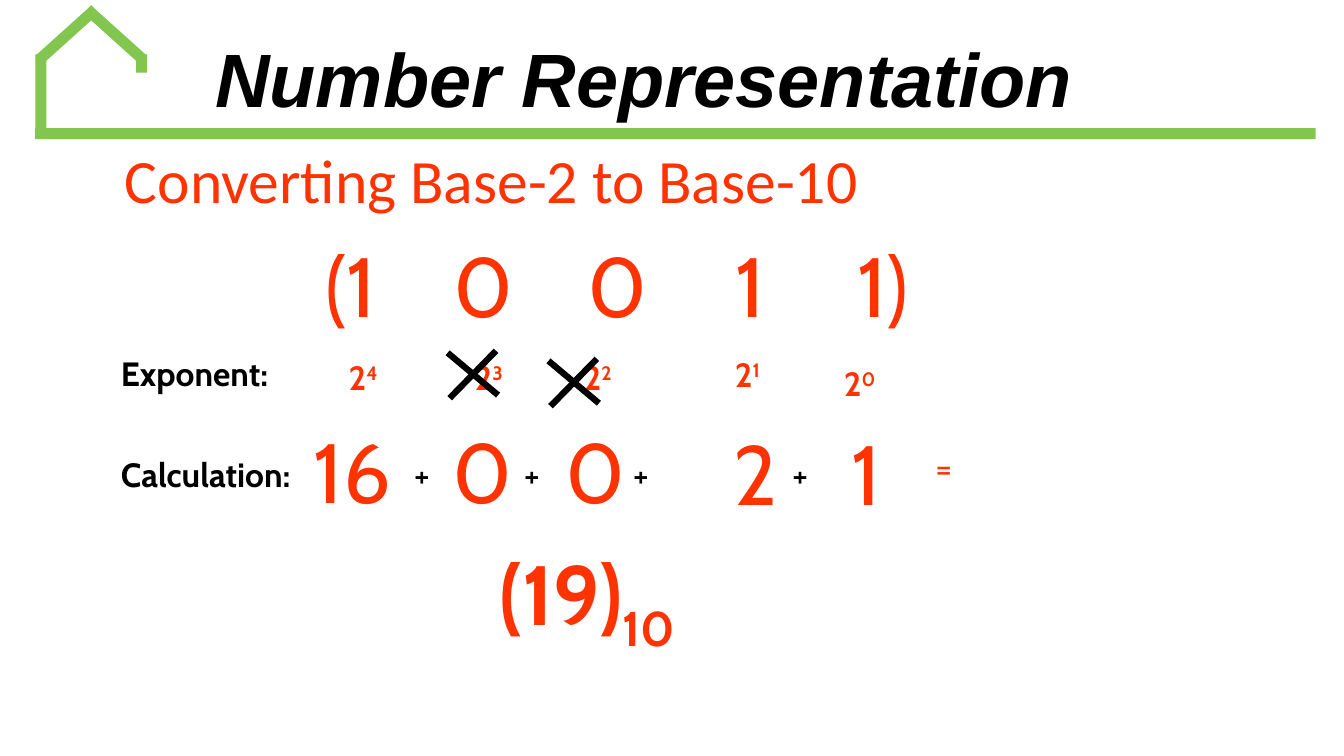
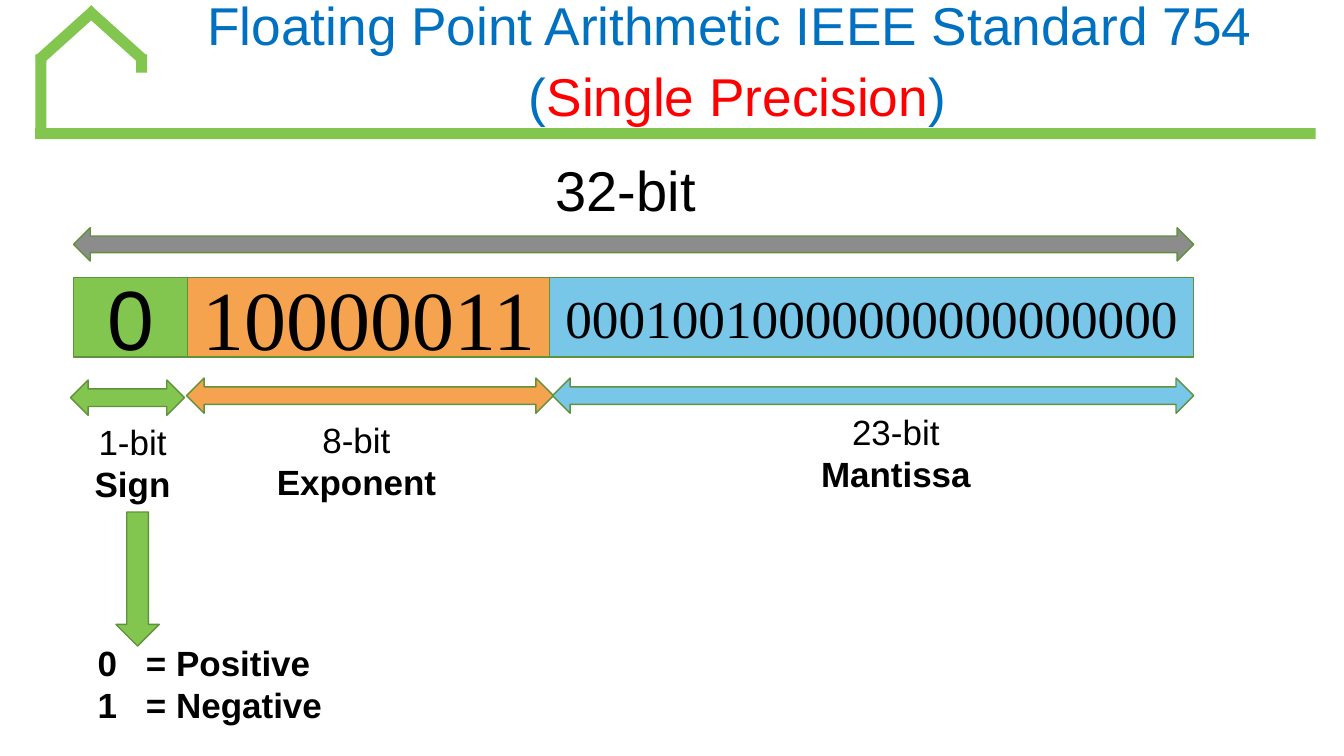
from lxml import etree
from pptx import Presentation
from pptx import util as u
from pptx.dml.color import RGBColor
from pptx.enum import shapes, text
from pptx.oxml.ns import qn

GREEN, ORANGE, BLUE, GRAY = "82C650", "F6A350", "78C6E8", "8C8C8C"
OUTLINE, BLACK, SCARLET = "60923B", "000000", "FF3300"
TITLE_BLUE, TITLE_RED = "0070C0", "FF0000"
SHAPE = shapes.MSO_SHAPE
CENTER = text.PP_ALIGN.CENTER
MIDDLE, TOP = text.MSO_ANCHOR.MIDDLE, text.MSO_ANCHOR.TOP


def rgb(value):
    return RGBColor.from_string(value)


def style(size, name="Arial", color=BLACK, **extra):
    return dict(size=size, name=name, color=color, **extra)


class Deck:
    title_box = (12.31, 0.79)
    roof_parts = [
        (0.35, 1.27, 12.7, 0.11, 0),
        (0.35, 0.54, 0.11, 0.8, 0),
        (1.35, 0.54, 0.11, 0.18, 0),
        (0.61, -0.03, 0.11, 0.75, 48),
        (1.09, -0.03, 0.11, 0.75, 312),
    ]

    def __init__(self):
        self.prs = Presentation()
        self.prs.slide_width = u.Inches(13.33)
        self.prs.slide_height = u.Inches(7.5)

    def new_slide(self):
        self.slide = self.prs.slides.add_slide(self.prs.slide_layouts[6])
        for *box, angle in self.roof_parts:
            self.shape(SHAPE.RECTANGLE, box, GREEN, line=None).rotation = angle

    def title(self, left, top, lines, look):
        self.label((left, top, *self.title_box), lines, look, align=CENTER,
                   anchor=MIDDLE, spacing=0.9, before=10)

    def shape(self, kind, box, fill, line=OUTLINE):
        part = self.slide.shapes.add_shape(kind, *map(u.Inches, box))
        part.shadow.inherit = False
        part.fill.solid()
        part.fill.fore_color.rgb = rgb(fill)
        if line:
            part.line.color.rgb = rgb(line)
            part.line.width = u.Pt(1)
        else:
            part.line.fill.background()
        return part

    def field(self, box, fill, bits, look):
        part = self.shape(SHAPE.RECTANGLE, box, fill)
        self.fill_text(part.text_frame, [bits], look, align=CENTER, anchor=MIDDLE)

    def label(self, box, lines, look, wrap=True, **layout):
        holder = self.slide.shapes.add_textbox(*map(u.Inches, box))
        self.fill_text(holder.text_frame, lines, look, wrap, **layout)

    def fill_text(self, frame, lines, look, wrap=True, align=None, anchor=TOP,
                  spacing=None, before=0, tab=None):
        frame.word_wrap = wrap
        frame.vertical_anchor = anchor
        for number, line in enumerate(lines):
            paragraph = frame.paragraphs[0] if number == 0 else frame.add_paragraph()
            paragraph.alignment = align
            if spacing:
                paragraph.line_spacing = spacing
            if number and before:
                paragraph.space_before = u.Pt(before)
            if tab:
                stops = etree.SubElement(paragraph._p.get_or_add_pPr(), qn("a:tabLst"))
                etree.SubElement(stops, qn("a:tab"), pos=str(u.Inches(tab)), algn="l")
            for words, changes in [(line, {})] if isinstance(line, str) else line:
                self.add_run(paragraph, words, {**look, **changes})

    def add_run(self, paragraph, words, values):
        run = paragraph.add_run()
        run.text = words
        for key, value in values.items():
            if key == "color":
                run.font.color.rgb = rgb(value)
            elif key == "baseline":
                run._r.get_or_add_rPr().set("baseline", str(value * 1000))
            else:
                setattr(run.font, key, u.Pt(value) if key == "size" else value)

    def stroke(self, start, end):
        line = self.slide.shapes.add_connector(
            shapes.MSO_CONNECTOR.STRAIGHT, *map(u.Inches, (*start, *end)))
        line.line.color.rgb = rgb(BLACK)
        line.line.width = u.Pt(4.5)
        etree.SubElement(line._element.spPr, qn("a:effectLst"))

    def cross(self, left, top):
        self.stroke((left, top + 0.02), (left + 0.5, top + 0.44))
        self.stroke((left + 0.48, top), (left + 0.02, top + 0.47))


def base_conversion(deck):
    deck.new_slide()
    deck.title(0.23, 0.43, ["Number Representation"],
               style(54, bold=True, italic=True))
    deck.label((1.14, 1.49, 9, 0.57), ["Converting Base-2 to Base-10"],
               style(44, "Calibri", SCARLET), anchor=MIDDLE)

    digit_look = style(60, "Cabin", SCARLET)
    power_look = style(24, "Cabin", SCARLET, bold=True)
    heading_look = style(24, "Cabin", bold=True)
    columns = [
        ("(1", "4", 3.36, 3.49, "16", 3.01, 4.11),
        ("0", "3", 4.61, 3.49, "0", 4.39, 4.11),
        ("0", "2", 5.69, 3.49, "0", 5.51, 4.11),
        ("1", "1", 7.19, 3.46, "2", 7.18, 4.13),
        ("1)", "0", 8.27, 3.55, "1", 8.35, 4.13),
    ]
    for place, (digit, power, power_left, power_top,
                product, product_left, product_top) in enumerate(columns):
        deck.label((2.87 + place * 1.32, 2.27, 1.22, 1.1), [digit],
                   digit_look, align=CENTER)
        deck.label((power_left, power_top, 0.58, 0.5),
                   [[("2", {}), (power, {"baseline": 30})]], power_look)
        deck.label((product_left, product_top, 0.21 + 0.45 * len(product), 1.1),
                   [product], digit_look, wrap=False)

    for left, top in [(4.44, 3.48), (5.44, 3.56)]:
        deck.cross(left, top)
    for heading, top in [("Exponent:", 3.45), ("Calculation:", 4.45)]:
        deck.label((1.1, top, 2.25, 0.5), [heading], heading_look)
    for left in (4.01, 5.1, 6.18, 7.76):
        deck.label((left, 4.45, 0.42, 0.5), ["+"], style(24, "Cabin"))
    deck.label((9.18, 4.38, 0.42, 0.5), ["="], style(24, "Cabin", SCARLET))
    deck.label((4.86, 5.32, 2.83, 1.1),
               [[("(19)", {}), ("10", {"baseline": -25})]],
               {**digit_look, "bold": True})


def single_precision(deck):
    deck.new_slide()
    deck.title(1.16, 0.24, [
        "Floating Point Arithmetic IEEE Standard 754 ",
        [("(", {}), ("Single Precision", {"color": TITLE_RED}), (")", {})],
    ], style(38, color=TITLE_BLUE))

    caption_look = style(25)
    deck.label((5.1, 1.49, 2.21, 0.77), ["32-bit"], style(40), align=CENTER)
    deck.shape(SHAPE.LEFT_RIGHT_ARROW, (0.73, 2.26, 11.11, 0.33), GRAY)

    fields = [
        (GREEN, "0", style(60), 1.13, (0.7, 3.77, 1.13),
         "1-bit", "Sign", (0.75, 4.12, 1.13)),
        (ORANGE, "10000011", style(60, "Times New Roman"), 3.59, (1.85, 3.75, 3.64),
         "8-bit", "Exponent", (2.62, 4.1, 1.83)),
        (BLUE, "00010010000000000000000", style(38, "Times New Roman"), 6.39,
         (5.48, 3.75, 6.36), "23-bit", "Mantissa", (7.97, 4.02, 1.83)),
    ]
    left = 0.73
    for fill, bits, look, width, span, size, meaning, caption in fields:
        deck.field((left, 2.75, width, 0.79), fill, bits, look)
        deck.shape(SHAPE.LEFT_RIGHT_ARROW, (*span, 0.35), fill)
        deck.label((*caption, 0.94), [size, [(meaning, {"bold": True})]],
                   caption_look, align=CENTER)
        left += width

    deck.shape(SHAPE.DOWN_ARROW, (1.15, 5.08, 0.43, 1.33), GREEN)
    deck.label((0.87, 6.32, 2.57, 0.94), ["0\t= Positive", "1\t= Negative"],
               {**caption_look, "bold": True}, tab=0.48)


def main():
    deck = Deck()
    base_conversion(deck)
    single_precision(deck)
    deck.prs.save("out.pptx")


if __name__ == "__main__":
    main()
